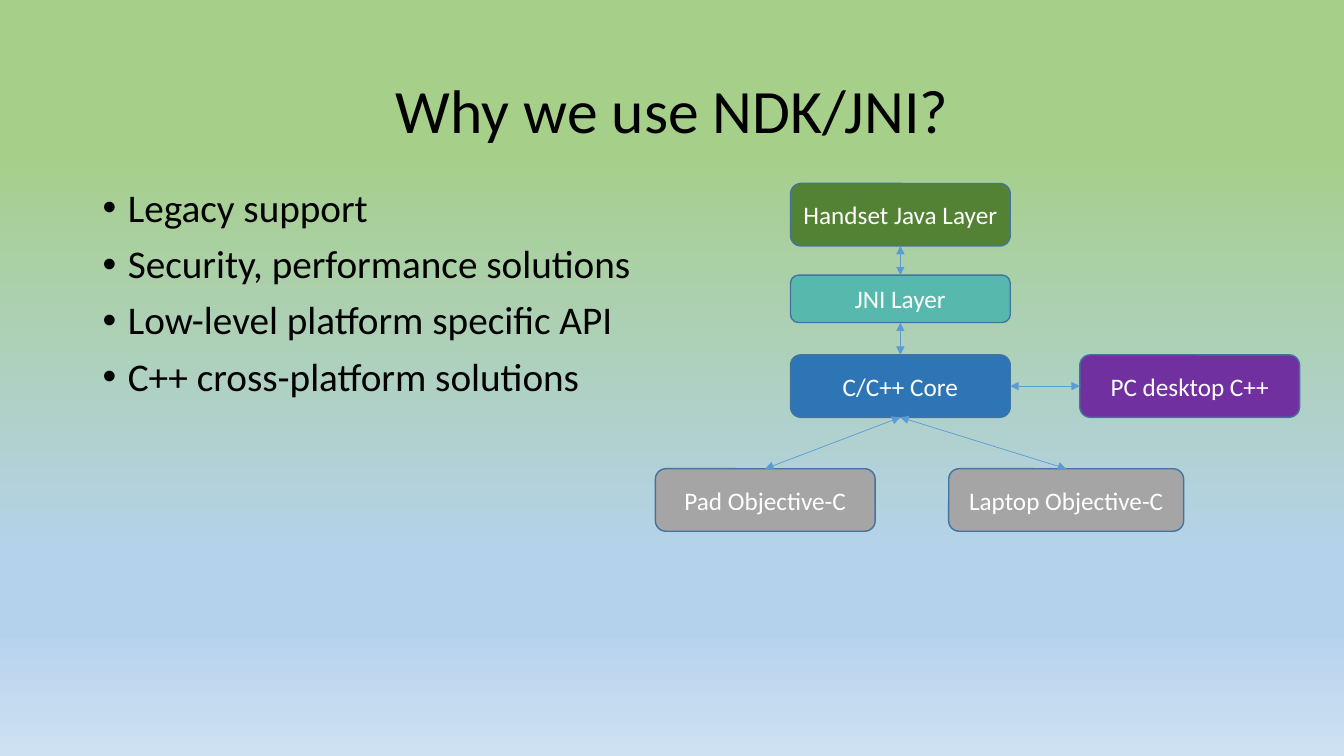
"""Builds the slide on why native code is used, with its layer diagram."""
from lxml import etree
from pptx import Presentation
from pptx.dml.color import RGBColor
from pptx.enum.shapes import MSO_CONNECTOR, MSO_SHAPE
from pptx.enum.text import MSO_ANCHOR, PP_ALIGN
from pptx.oxml.ns import qn
from pptx.util import Inches, Pt

BLACK = RGBColor(0x00, 0x00, 0x00)
WHITE = RGBColor(0xFF, 0xFF, 0xFF)
OUTLINE = RGBColor(0x43, 0x73, 0x9E)
ARROW = RGBColor(0x5B, 0x9B, 0xD5)
CORE_BLUE = RGBColor(0x2E, 0x75, 0xB6)
JNI_TEAL = RGBColor(0x57, 0xB9, 0xAD)
JAVA_GREEN = RGBColor(0x54, 0x82, 0x35)
OBJC_GRAY = RGBColor(0xA5, 0xA5, 0xA5)
DESKTOP_PURPLE = RGBColor(0x70, 0x30, 0xA0)
SKY_STOPS = [
    (20, RGBColor(0xA6, 0xCF, 0x8A)),
    (74, RGBColor(0xB5, 0xD2, 0xEC)),
    (83, RGBColor(0xB5, 0xD2, 0xEC)),
    (100, RGBColor(0xCE, 0xE1, 0xF2)),
]
TOP, LEFT, BOTTOM, RIGHT = range(4)


def write_text(paragraph, text, size=18, color=WHITE, align=PP_ALIGN.CENTER,
               line_spacing=None, space_before=None, bullet=None):
    """Fill a paragraph with one formatted run."""
    run = paragraph.add_run()
    run.text = text
    run.font.name = "Calibri"
    run.font.size = Pt(size)
    run.font.color.rgb = color
    paragraph.alignment = align
    paragraph.line_spacing = line_spacing
    if space_before is not None:
        paragraph.space_before = Pt(space_before)
    if bullet:
        properties = paragraph._p.get_or_add_pPr()
        properties.set("marL", str(Inches(0.25)))
        properties.set("indent", str(-Inches(0.25)))
        etree.SubElement(properties, qn("a:buFont"), typeface="Arial")
        etree.SubElement(properties, qn("a:buChar"), char=bullet)


class LayerSlide:
    """Holds the slide and the style shared by its elements."""

    def __init__(self, slide, outline=OUTLINE, arrow=ARROW):
        self.slide = slide
        self.outline = outline
        self.arrow_color = arrow

    def background(self, stops):
        """Paint a gradient from top to bottom."""
        fill = self.slide.background.fill
        fill.gradient()
        fill.gradient_angle = 270
        stop_list = self.slide.element.find(".//" + qn("a:gsLst"))
        for old_stop in list(stop_list):
            stop_list.remove(old_stop)
        for percent, color in stops:
            stop = etree.SubElement(stop_list, qn("a:gs"), pos=str(percent * 1000))
            etree.SubElement(stop, qn("a:srgbClr"), val=str(color))

    def title(self, text, left, top, width, height):
        """Place and fill the title placeholder."""
        title = self.slide.shapes.title
        title.left, title.top = Inches(left), Inches(top)
        title.width, title.height = Inches(width), Inches(height)
        title.text_frame.vertical_anchor = MSO_ANCHOR.MIDDLE
        write_text(title.text_frame.paragraphs[0], text, size=44, color=BLACK,
                   line_spacing=0.9)

    def bullets(self, items, left, top, width, height):
        """Add a bulleted list."""
        body = self.slide.shapes.add_textbox(
            Inches(left), Inches(top), Inches(width), Inches(height))
        frame = body.text_frame
        frame.word_wrap = True
        for index, item in enumerate(items):
            paragraph = frame.add_paragraph() if index else frame.paragraphs[0]
            write_text(paragraph, item, size=28, color=BLACK, align=PP_ALIGN.LEFT,
                       line_spacing=0.9, space_before=10, bullet="•")

    def layer(self, text, color, left, top, width=2.18, height=0.62):
        """Add a rounded box for one layer."""
        box = self.slide.shapes.add_shape(
            MSO_SHAPE.ROUNDED_RECTANGLE,
            Inches(left), Inches(top), Inches(width), Inches(height))
        box.shadow.inherit = False
        box.fill.solid()
        box.fill.fore_color.rgb = color
        box.line.color.rgb = self.outline
        box.line.width = Pt(1)
        box.text_frame.word_wrap = True
        box.text_frame.vertical_anchor = MSO_ANCHOR.MIDDLE
        write_text(box.text_frame.paragraphs[0], text)
        return box

    def link(self, source, source_side, target, target_side):
        """Join two layers with a double-headed arrow."""
        link = self.slide.shapes.add_connector(MSO_CONNECTOR.STRAIGHT, 0, 0, 0, 0)
        link.begin_connect(source, source_side)
        link.end_connect(target, target_side)
        link.line.color.rgb = self.arrow_color
        link.line.width = Pt(0.5)
        line = link.line._get_or_add_ln()
        for end in ("a:headEnd", "a:tailEnd"):
            etree.SubElement(line, qn(end), type="triangle")
        etree.SubElement(link._element.spPr, qn("a:effectLst"))


def main():
    """Build and save the slide."""
    deck = Presentation()
    deck.slide_width, deck.slide_height = Inches(13.33), Inches(7.5)
    page = LayerSlide(deck.slides.add_slide(deck.slide_layouts[5]))
    page.background(SKY_STOPS)
    page.title("Why we use NDK/JNI?", 0.92, 0.4, 11.5, 1.45)

    stack_left, core_top, objc_top = 7.84, 3.52, 4.65
    core = page.layer("C/C++ Core", CORE_BLUE, stack_left, core_top)
    jni = page.layer("JNI Layer", JNI_TEAL, stack_left, 2.73, height=0.47)
    java = page.layer("Handset Java Layer", JAVA_GREEN, stack_left, 1.82)
    pad = page.layer("Pad Objective-C", OBJC_GRAY, 6.5, objc_top)
    laptop = page.layer("Laptop Objective-C", OBJC_GRAY, 9.41, objc_top, width=2.33)
    desktop = page.layer("PC desktop C++", DESKTOP_PURPLE, 10.71, core_top)

    page.bullets(["Legacy support", "Security, performance solutions",
                  "Low-level platform specific API", "C++ cross-platform solutions"],
                 0.92, 1.82, 6.31, 4.93)

    for source, source_side, target, target_side in [
        (core, RIGHT, desktop, LEFT),
        (core, BOTTOM, laptop, TOP),
        (core, BOTTOM, pad, TOP),
        (java, BOTTOM, jni, TOP),
        (jni, BOTTOM, core, TOP),
    ]:
        page.link(source, source_side, target, target_side)
    deck.save("out.pptx")


if __name__ == "__main__":
    main()
